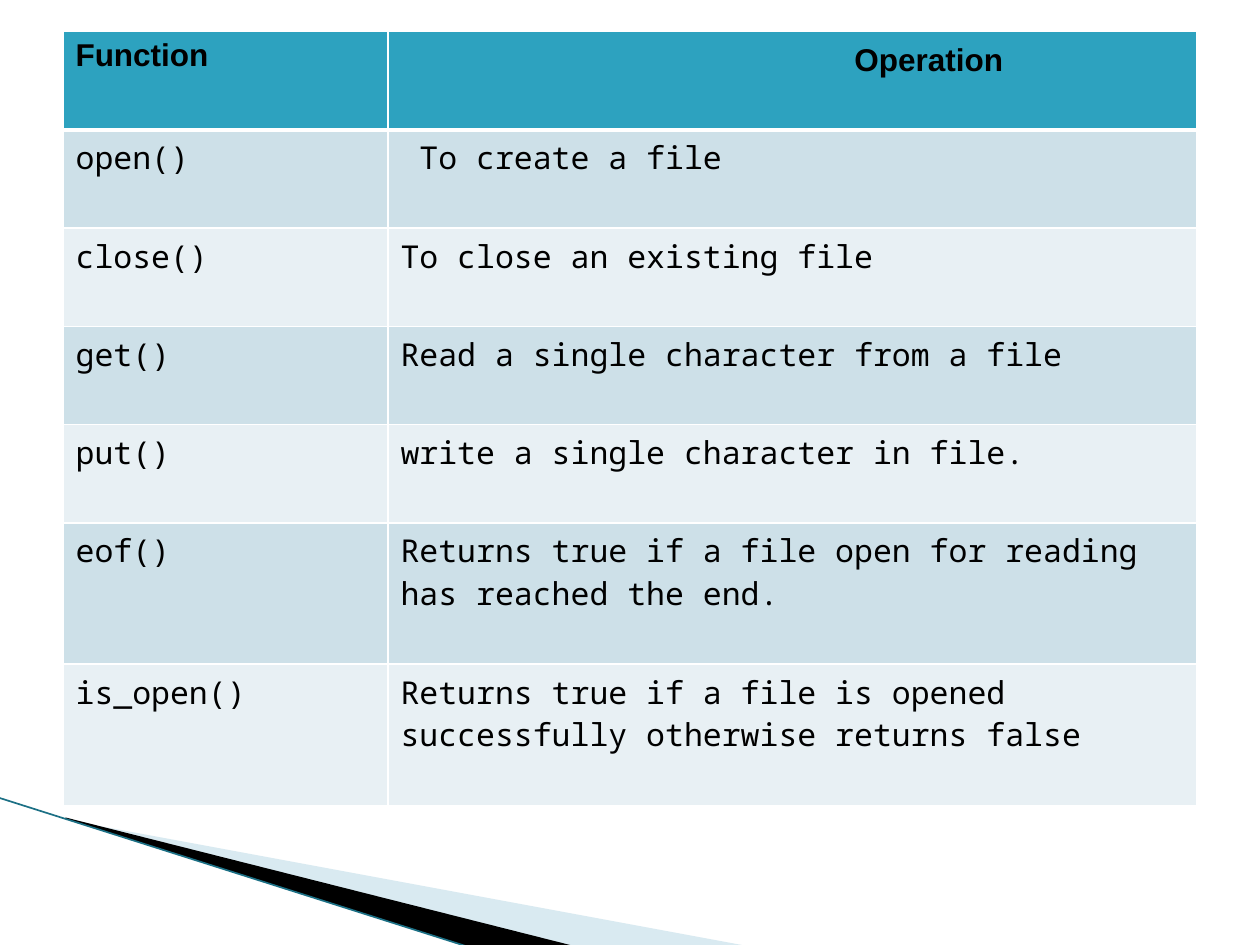
from lxml import etree
from pptx import Presentation
from pptx import util as u
from pptx.dml.color import RGBColor
from pptx.enum import shapes
from pptx.oxml.ns import qn

# Content
HEADER = ("Function", "Operation")
FUNCTIONS = [
    ("open()", " To create a file"),
    ("close()", "To close an existing file"),
    ("get()", "Read a single character from a file"),
    ("put()", "write a single character in file."),
    ("eof()", "Returns true if a file open for reading has reached the end."),
    ("is_open()", "Returns true if a file is opened successfully otherwise returns false"),
]
COLUMN_WIDTHS = (6.55, 16.31)
HEADER_HEIGHT, SHORT_ROW, TALL_ROW = 1.98, 1.98, 2.85
HEADER_FILL, BAND_FILLS = "2DA2BF", ("CDE0E8", "E8F0F4")

# Corner wedges: frame and points in cm, colour, opacity in percent
WEDGES = [
    ((1.98, 13.89, 10.57, 4.01),
     [(1.4, 16.54), (15.11, 19.08), (11.58, 19.08), (1.4, 16.51)], "A0CBDC", 40),
    ((-0.15, 16.08, 10.57, 2.34),
     [(1.32, 16.48), (11.61, 19.08), (9.5, 19.1), (1.34, 16.51)], "000000", 100),
]
EDGE = (-0.03, 16.08, 9.48, 19.1)


def color(value):
    return RGBColor.from_string(value)


def write(cell, content, font="Noto Sans Mono", size=18, bold=False, indent=0):
    paragraph = cell.text_frame.paragraphs[0]
    run = paragraph.add_run()
    run.text = content
    run.font.name, run.font.size, run.font.bold = font, u.Pt(size), bold
    run.font.color.rgb = color("000000")
    if indent:
        paragraph._p.get_or_add_pPr().set("marL", str(u.Cm(indent)))


def set_borders(cell, **widths):
    properties = cell._tc.get_or_add_tcPr()
    for side in "LRTB":
        line = etree.SubElement(properties, qn("a:ln" + side), w=str(u.Pt(widths.get(side, 1))))
        fill = etree.SubElement(line, qn("a:solidFill"))
        etree.SubElement(fill, qn("a:srgbClr"), val="FFFFFF")


def set_frame(shape, frame):
    """Move the frame while the outline, which reaches beyond it, stays in place."""
    left, top, width, height = map(u.Cm, frame)
    shift_x, shift_y = shape.left - left, shape.top - top
    outline = shape._element.spPr.find(".//" + qn("a:path"))
    outline.set("w", str(width))
    outline.set("h", str(height))
    for point in outline.iter(qn("a:pt")):
        point.set("x", str(int(point.get("x")) + shift_x))
        point.set("y", str(int(point.get("y")) + shift_y))
    shape.left, shape.top, shape.width, shape.height = left, top, width, height


presentation = Presentation()
presentation.slide_width, presentation.slide_height = u.Cm(25.4), u.Cm(19.05)
slide = presentation.slides.add_slide(presentation.slide_layouts[6])

# Corner decoration
for frame, points, fill, opacity in WEDGES:
    corners = [(u.Cm(x), u.Cm(y)) for x, y in points]
    builder = slide.shapes.build_freeform(*corners[0])
    builder.add_line_segments(corners[1:], close=True)
    wedge = builder.convert_to_shape()
    set_frame(wedge, frame)
    wedge.shadow.inherit = False
    wedge.fill.solid()
    wedge.fill.fore_color.rgb = color(fill)
    wedge.line.fill.background()
    if opacity < 100:
        tone = wedge._element.spPr.find(".//" + qn("a:srgbClr"))
        etree.SubElement(tone, qn("a:alpha"), val=str(opacity * 1000))

edge = slide.shapes.add_connector(shapes.MSO_CONNECTOR.STRAIGHT, *map(u.Cm, EDGE))
edge.line.color.rgb = color("1C7085")
edge.line.width = u.Pt(0.95)
etree.SubElement(edge._element.spPr, qn("a:effectLst"))

# Table
heights = [HEADER_HEIGHT] + [TALL_ROW if len(operation) > 40 else SHORT_ROW
                             for _, operation in FUNCTIONS]
table = slide.shapes.add_table(
    len(heights), len(COLUMN_WIDTHS), u.Cm(1.27), u.Cm(0.64),
    u.Cm(sum(COLUMN_WIDTHS)), u.Cm(sum(heights))).table
for column, width in zip(table.columns, COLUMN_WIDTHS):
    column.width = u.Cm(width)

for i, (row, entries) in enumerate(zip(table.rows, [HEADER] + FUNCTIONS)):
    row.height = u.Cm(heights[i])
    for j, (cell, entry) in enumerate(zip(row.cells, entries)):
        if i == 0:
            write(cell, entry, font="Arial", bold=True, indent=9.15 * j)
            cell.margin_top = u.Cm(0.13 + 0.1 * j)
        else:
            write(cell, entry)
        set_borders(cell, B=3 if i == 0 else 1, T=3 if i == 1 else 1)
        cell.fill.solid()
        cell.fill.fore_color.rgb = color(BAND_FILLS[(i - 1) % 2] if i else HEADER_FILL)

presentation.save("out.pptx")
